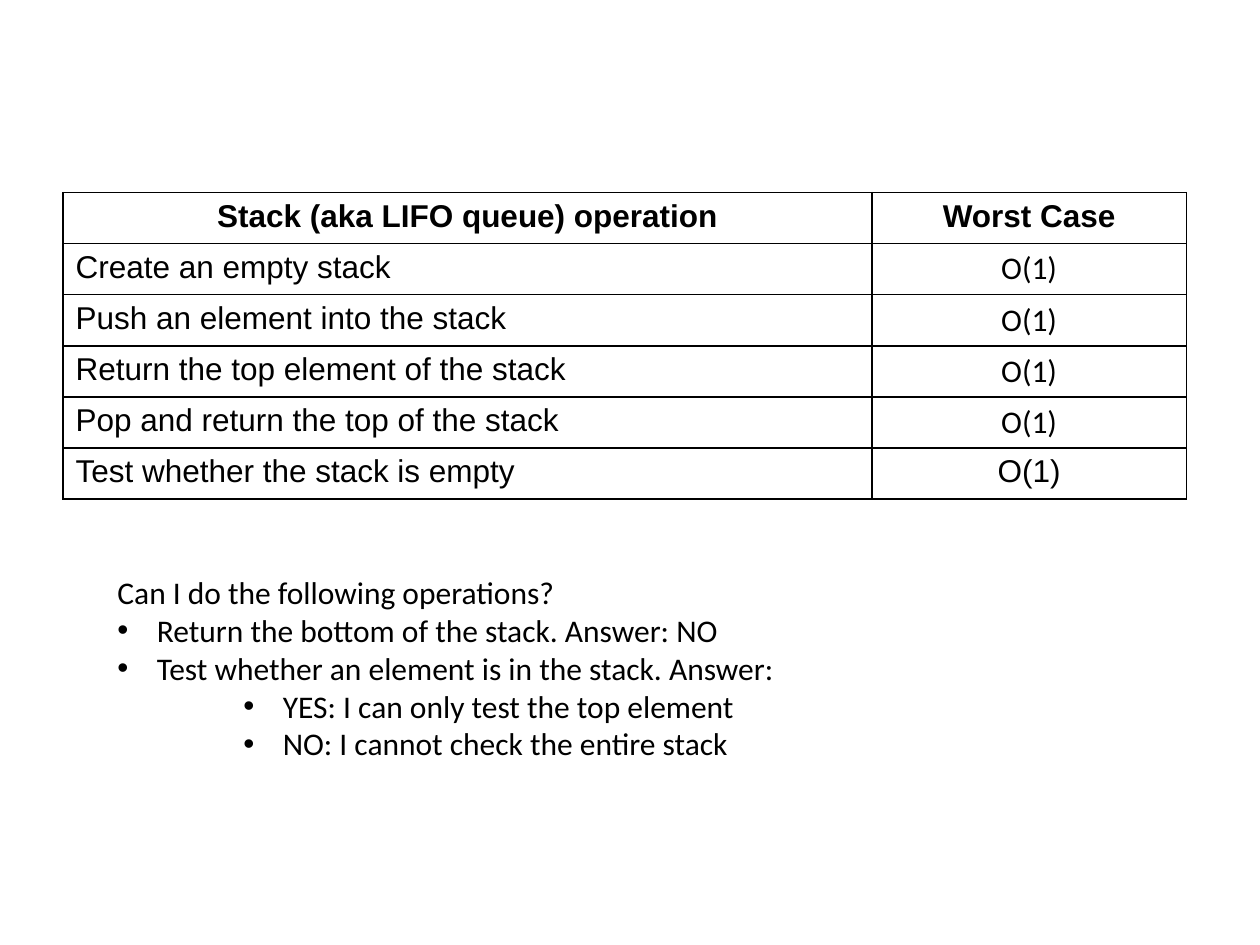
from dataclasses import dataclass

from lxml import etree
from pptx import Presentation
from pptx.dml.color import RGBColor
from pptx.enum import text
from pptx.oxml import ns
from pptx.util import Pt


@dataclass(frozen=True)
class Theme:
    ink: str = "000000"
    paper: str = "FFFFFF"
    size: float = 18
    line: float = 1
    sans: str = "Arial"
    body: str = "Calibri"


THEME = Theme()
LEFT, MID = text.PP_ALIGN.LEFT, text.PP_ALIGN.CENTER
HEAD = ("Stack (aka LIFO queue) operation", "Worst Case")
COSTS = [
    ("Create an empty stack", THEME.body),
    ("Push an element into the stack", THEME.body),
    ("Return the top element of the stack", THEME.body),
    ("Pop and return the top of the stack", THEME.body),
    ("Test whether the stack is empty", THEME.sans),
]
NOTES = [
    ("Can I do the following operations?", 0, None),
    ("Return the bottom of the stack. Answer: NO", 0, 22.5),
    ("Test whether an element is in the stack. Answer:", 0, 22.5),
    ("YES: I can only test the top element", 2, 94.5),
    ("NO: I cannot check the entire stack", 2, 94.5),
]


def put(item, values):
    for name, value in values.items():
        setattr(item, name, value)


def add(root, tag, **values):
    return etree.SubElement(root, ns.qn(tag), values)


def write(para, words, font, bold=False, align=LEFT):
    para.alignment = align
    run = para.add_run()
    run.text = words
    put(run.font, {"name": font, "size": Pt(THEME.size), "bold": bold})
    run.font.color.rgb = RGBColor.from_string(THEME.ink)


def frame(cell):
    props = cell._tc.get_or_add_tcPr()
    for side in "LRTB":
        line = add(props, f"a:ln{side}", w=str(Pt(THEME.line)))
        add(add(line, "a:solidFill"), "a:srgbClr", val=THEME.ink)
    cell.fill.solid()
    cell.fill.fore_color.rgb = RGBColor.from_string(THEME.paper)


def bullet(para, indent, hang=22.5):
    props = para._p.get_or_add_pPr()
    put_in = {"marL": indent, "indent": -hang}
    for name, value in put_in.items():
        props.set(name, str(Pt(value)))
    add(add(props, "a:buClr"), "a:srgbClr", val=THEME.ink)
    add(props, "a:buFont", typeface=THEME.sans)
    add(props, "a:buChar", char="•")


def cost_grid(slide, left, top, width, height):
    rows = [(HEAD, (THEME.sans, THEME.sans), True, (MID, MID))]
    rows += [((task, "O(1)"), (THEME.sans, font), False, (LEFT, MID))
             for task, font in COSTS]
    grid = slide.shapes.add_table(
        len(rows), 2, Pt(left), Pt(top), Pt(width), Pt(height)).table
    put(grid, {"first_row": False, "horz_banding": False})
    for col, share in zip(grid.columns, (0.72, 0.28)):
        col.width = Pt(width * share)
    for row, (words, fonts, bold, aligns) in zip(grid.rows, rows):
        row.height = Pt(height / len(rows))
        for cell, word, font, align in zip(row.cells, words, fonts, aligns):
            frame(cell)
            write(cell.text_frame.paragraphs[0], word, font, bold, align)


def note_list(slide, left, top, width, height):
    box = slide.shapes.add_textbox(Pt(left), Pt(top), Pt(width), Pt(height))
    body = box.text_frame
    put(body, {"word_wrap": True,
               "auto_size": text.MSO_AUTO_SIZE.SHAPE_TO_FIT_TEXT})
    for pos, (words, level, indent) in enumerate(NOTES):
        para = body.add_paragraph() if pos else body.paragraphs[0]
        para.level = level
        write(para, words, THEME.body)
        if indent:
            bullet(para, indent)


def main():
    deck = Presentation()
    put(deck, {"slide_width": Pt(720), "slide_height": Pt(540)})
    slide = deck.slides.add_slide(deck.slide_layouts[6])
    cost_grid(slide, 36, 110, 642, 175.2)
    note_list(slide, 60, 324, 594, 116.6)
    deck.save("out.pptx")


if __name__ == "__main__":
    main()
